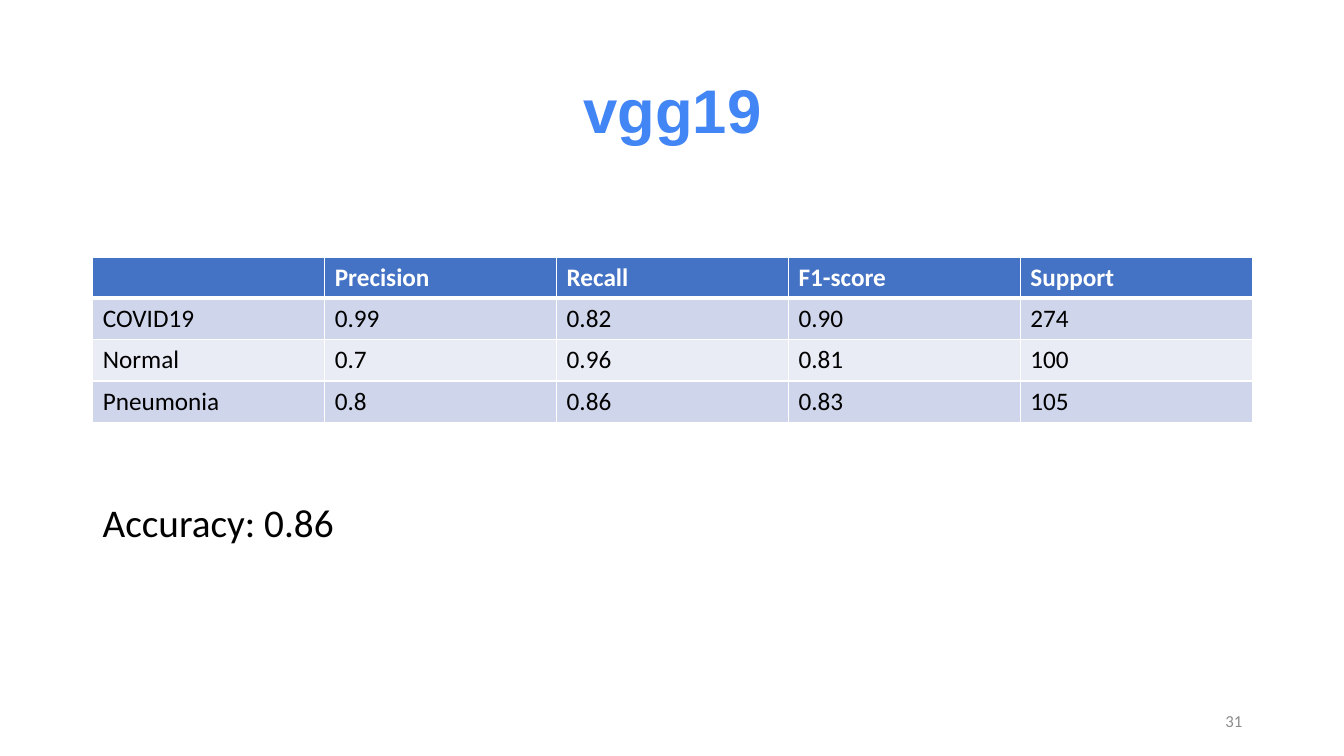
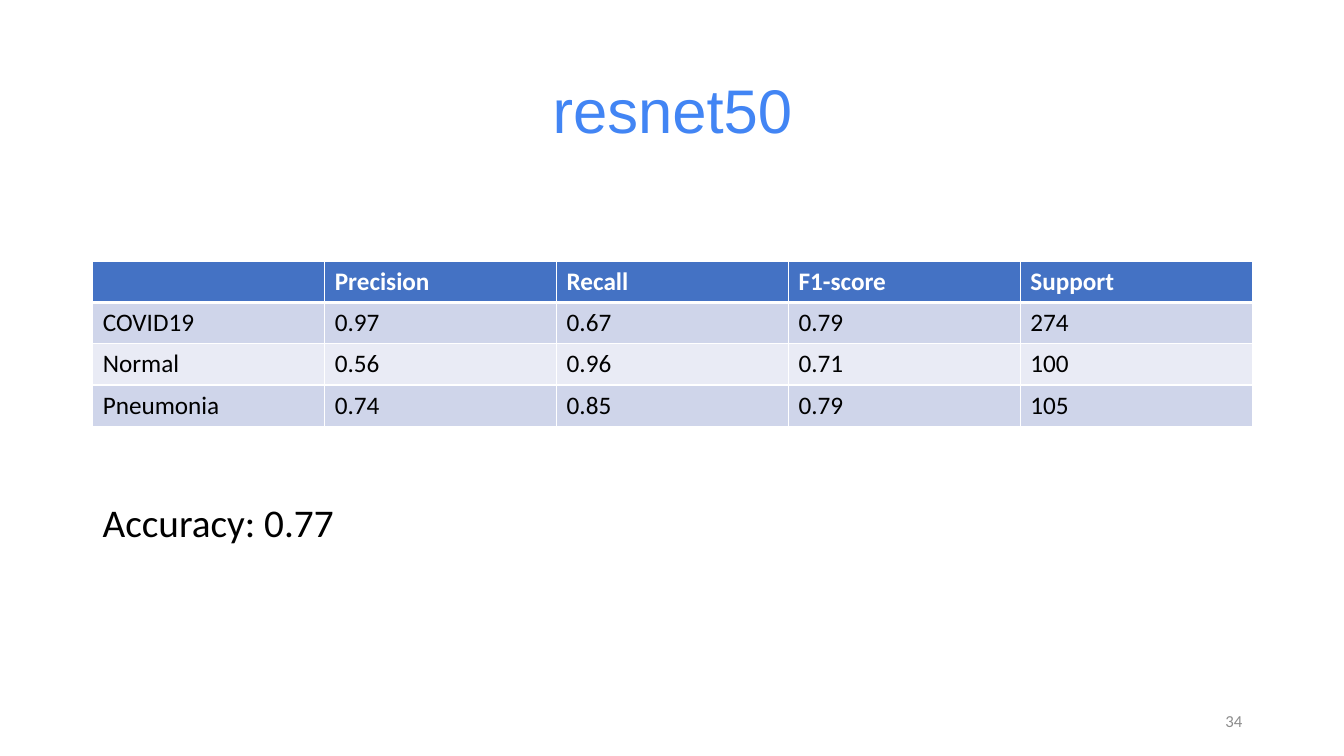
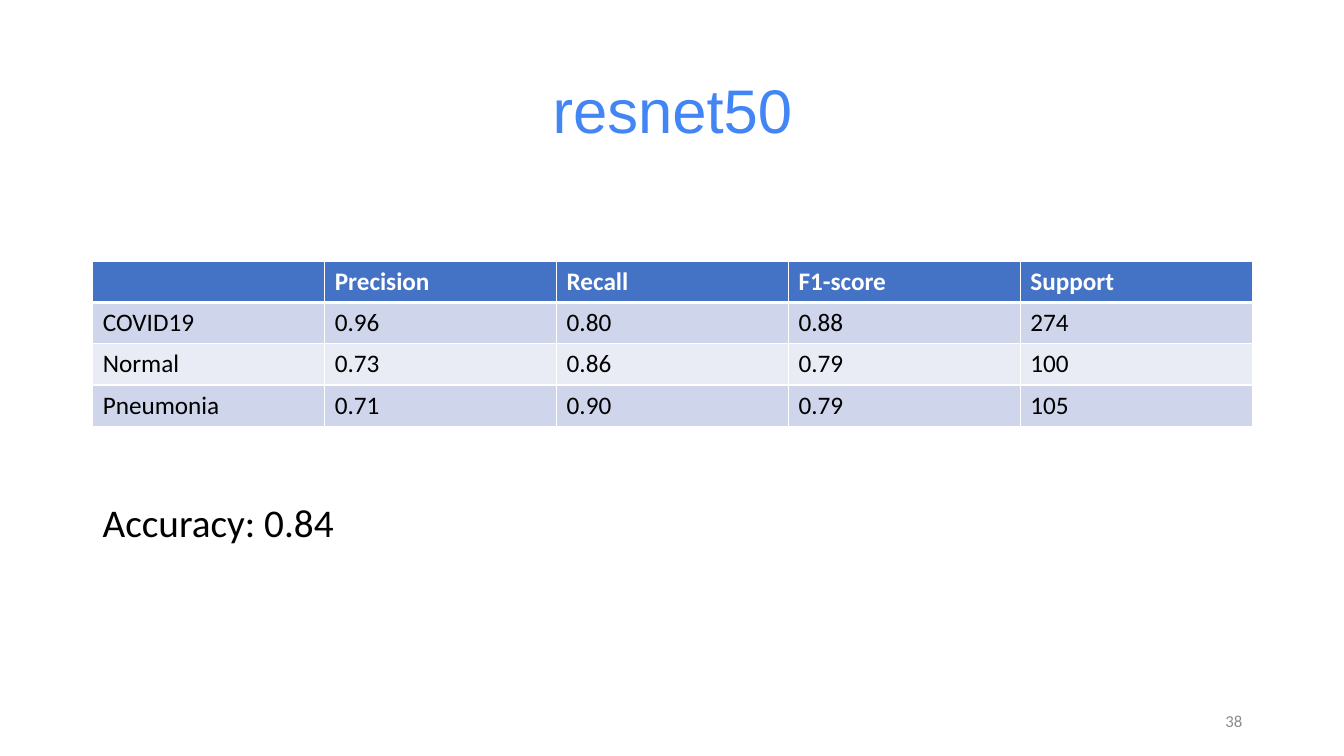
from lxml import etree
from pptx import Presentation
from pptx.dml.color import RGBColor
from pptx.enum.text import MSO_ANCHOR, MSO_AUTO_SIZE, PP_ALIGN
from pptx.oxml.ns import qn
from pptx.util import Inches, Pt

LEFT, RIGHT, CENTER = PP_ALIGN.LEFT, PP_ALIGN.RIGHT, PP_ALIGN.CENTER
TOP, MIDDLE = MSO_ANCHOR.TOP, MSO_ANCHOR.MIDDLE
NO_FIT = MSO_AUTO_SIZE.NONE

# Shared look
TITLE, HEAD, GRAY = "4285F4", "4472C4", "8C8C8C"
DARK, PALE = "CFD5EA", "E9EBF5"
WHITE, BLACK = "FFFFFF", "000000"
SANS, BODY = "Arial", "Calibri"
EDGE, WIDE, ROW = 0.92, 11.5, 0.41

# Shared table labels
HEADS = ["", "Precision", "Recall", "F1-score", "Support"]
NAMES = ["COVID19", "Normal", "Pneumonia"]
COUNTS = ["274", "100", "105"]

# Title, bold title, table top, scores, accuracy, page number
MODELS = [
    ("vgg19", True, 2.55,
     [["0.99", "0.82", "0.90"], ["0.7", "0.96", "0.81"],
      ["0.8", "0.86", "0.83"]], "0.86", "31"),
    ("resnet50", False, 2.59,
     [["0.97", "0.67", "0.79"], ["0.56", "0.96", "0.71"],
      ["0.74", "0.85", "0.79"]], "0.77", "34"),
    ("resnet50", False, 2.59,
     [["0.96", "0.80", "0.88"], ["0.73", "0.86", "0.79"],
      ["0.71", "0.90", "0.79"]], "0.84", "38"),
]


def color(code):
    return RGBColor.from_string(code)


def write(frame, text, size, tint, font=BODY, bold=False, align=LEFT,
          space=1.0):
    para = frame.paragraphs[0]
    para.alignment = align
    para.line_spacing = space
    run = para.add_run()
    run.text = text
    run.font.size = Pt(size)
    run.font.name = font
    run.font.bold = bold
    run.font.color.rgb = color(tint)


def setup(frame, anchor):
    frame.word_wrap = True
    frame.auto_size = NO_FIT
    frame.vertical_anchor = anchor


def add_title(slide, text, bold):
    title = slide.shapes.title
    title.left, title.top = Inches(EDGE), Inches(0.4)
    title.width, title.height = Inches(WIDE), Inches(1.45)
    setup(title.text_frame, MIDDLE)
    write(title.text_frame, text, 44, TITLE, SANS, bold, CENTER, 0.9)


def add_text(slide, text, box, size, tint, anchor=TOP, **style):
    frame = slide.shapes.add_textbox(*map(Inches, box)).text_frame
    setup(frame, anchor)
    write(frame, text, size, tint, **style)


def add_edge(cell, side, width):
    props = cell._tc.get_or_add_tcPr()
    line = etree.SubElement(props, qn("a:ln" + side), w=str(Pt(width)))
    fill = etree.SubElement(line, qn("a:solidFill"))
    etree.SubElement(fill, qn("a:srgbClr"), val=WHITE)


def add_cell(cell, text, row):
    # The rule between the header and the first data row is thicker
    widths = {"L": 1, "R": 1, "T": 3 if row == 1 else 1,
              "B": 3 if row == 0 else 1}
    for side, width in widths.items():
        add_edge(cell, side, width)
    cell.fill.solid()
    back = HEAD if row == 0 else DARK if row % 2 else PALE
    cell.fill.fore_color.rgb = color(back)
    if text:
        write(cell.text_frame, text, 18, WHITE if row == 0 else BLACK,
              bold=row == 0)


def add_grid(slide, top, scores):
    rows = [HEADS] + [[name, *vals, count] for name, vals, count
                      in zip(NAMES, scores, COUNTS)]
    box = (EDGE, top, WIDE, ROW * len(rows))
    table = slide.shapes.add_table(len(rows), len(HEADS),
                                   *map(Inches, box)).table
    for r, row in enumerate(rows):
        for c, text in enumerate(row):
            add_cell(table.cell(r, c), text, r)


def main():
    deck = Presentation()
    deck.slide_width, deck.slide_height = Inches(13.33), Inches(7.5)
    layout = deck.slide_layouts.get_by_name("Title Only")
    for name, bold, top, scores, rate, page in MODELS:
        slide = deck.slides.add_slide(layout)
        add_title(slide, name, bold)
        add_grid(slide, top, scores)
        add_text(slide, f"Accuracy: {rate}", (EDGE, 4.95, 11.11, 1.81),
                 28, BLACK, space=0.9)
        add_text(slide, page, (9.42, 6.95, 3, 0.4), 12, GRAY, MIDDLE,
                 align=RIGHT)
    deck.save("out.pptx")


if __name__ == "__main__":
    main()
